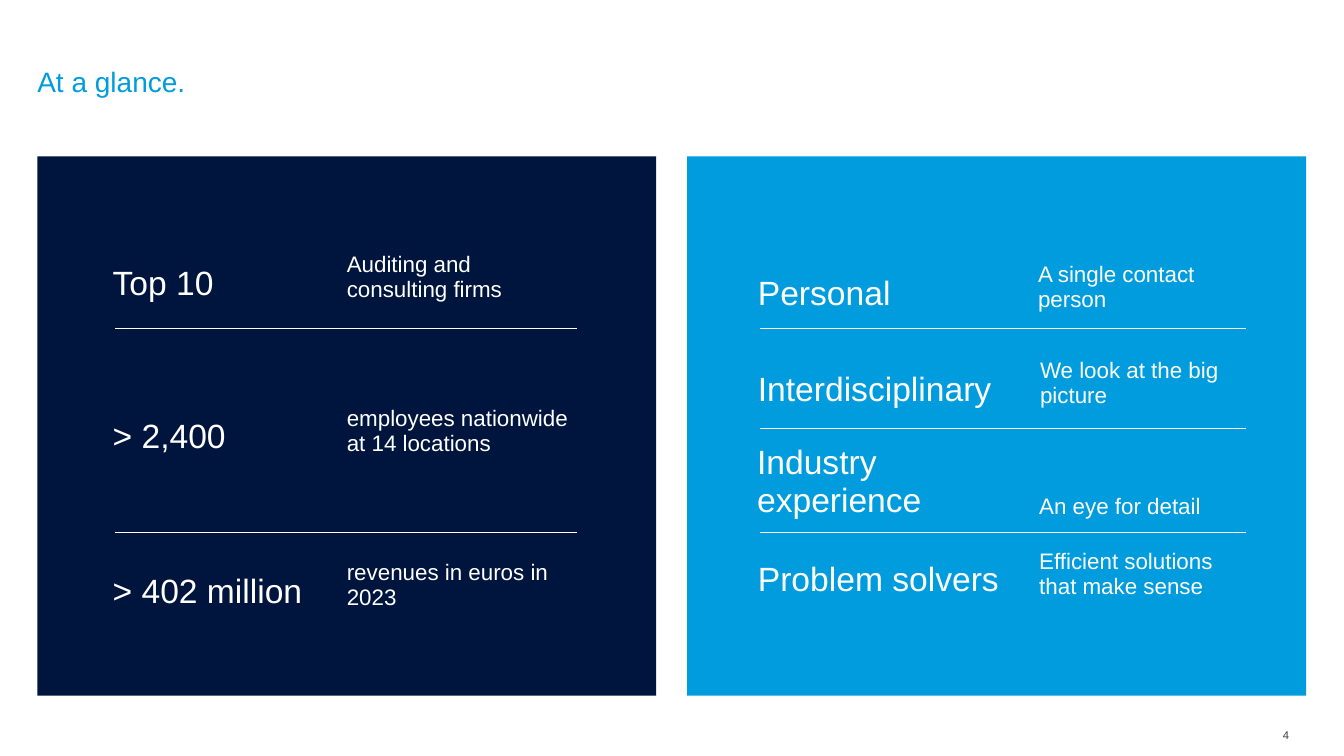
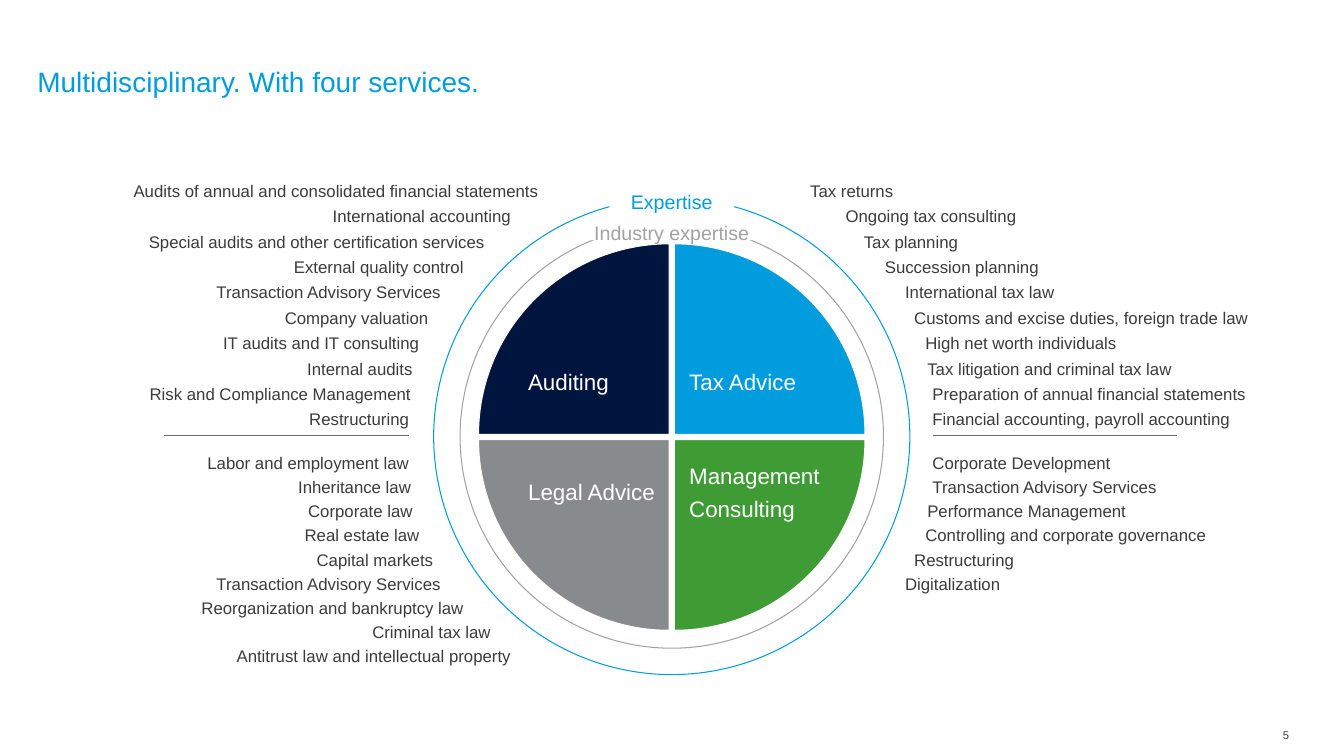
from lxml.etree import SubElement
from pptx import Presentation
from pptx.chart.data import CategoryChartData
from pptx.dml.color import RGBColor
from pptx.enum.chart import XL_CHART_TYPE
from pptx.enum.shapes import MSO_CONNECTOR, MSO_SHAPE
from pptx.enum.text import MSO_ANCHOR, PP_ALIGN
from pptx.oxml.ns import qn
from pptx.util import Cm, Pt

COLORS = {name: RGBColor.from_string(value) for name, value in {
    "navy": "00153D", "blue": "009CDE", "green": "3F9C35", "gray": "888B8D",
    "ring": "A2A2A2", "rule": "6B6B6B", "text": "3B3B3B", "white": "FFFFFF",
}.items()}
NO_GRID_STYLE = "{2D5ABB26-0587-4C30-8999-92F81FD0307C}"


def write_text(frame, text, size, color, spacing=1.2, align=PP_ALIGN.LEFT,
               anchor=MSO_ANCHOR.TOP, margins=(0, 0)):
    """Fill a text frame or table cell with one formatted paragraph."""
    horizontal, vertical = margins
    holder_format = {
        "margin_left": Cm(horizontal), "margin_right": Cm(horizontal),
        "margin_top": Cm(vertical), "margin_bottom": Cm(vertical),
        "vertical_anchor": anchor, "word_wrap": True, "text": text,
    }
    for name, value in holder_format.items():
        setattr(frame, name, value)
    paragraph = getattr(frame, "text_frame", frame).paragraphs[0]
    paragraph.line_spacing = spacing
    paragraph.alignment = align
    for name, value in {"name": "Arial", "size": Pt(size), "bold": False}.items():
        setattr(paragraph.font, name, value)
    paragraph.font.color.rgb = COLORS[color]


def add_rule(slide, left, right, top, color):
    """Draw a thin horizontal line without a shadow."""
    line = slide.shapes.add_connector(
        MSO_CONNECTOR.STRAIGHT, Cm(left), Cm(top), Cm(right), Cm(top))
    line.line.color.rgb = COLORS[color]
    line.line.width = Pt(0.75)
    SubElement(line._element.spPr, qn("a:effectLst"))


presentation = Presentation()
presentation.slide_width = Cm(33.87)
presentation.slide_height = Cm(19.05)

# Titles and page numbers
slides = []
for number, title in [(4, "At a glance."), (5, "Multidisciplinary. With four services.")]:
    slide = presentation.slides.add_slide(presentation.slide_layouts[5])
    title_format = {"left": Cm(0.94), "top": Cm(1.73), "width": Cm(32), "height": Cm(1.5)}
    for name, value in title_format.items():
        setattr(slide.shapes.title, name, value)
    write_text(slide.shapes.title.text_frame, title, 20, "blue", spacing=0.9)
    page_box = slide.shapes.add_textbox(Cm(32.33), Cm(18.34), Cm(0.91), Cm(0.3))
    write_text(page_box.text_frame, str(number), 8, "text", anchor=MSO_ANCHOR.MIDDLE)
    slides.append(slide)
glance, services = slides

# Glance: two panels, each with one-row tables and rules between them
# Rows: left, top, height, width of the first column, key, detail
panels = [
    {"color": "navy", "left": 0.94, "width": 12.4, "rule": (2.9, 14.55),
     "rule_tops": [8.28, 13.41], "rows": [
         (2.54, 6.07, 1.68, 5.9, "Top 10", "Auditing and\vconsulting firms"),
         (2.54, 9.93, 1.68, 5.9, "> 2,400", "employees nationwide at 14 locations"),
         (2.54, 13.82, 1.68, 5.9, "> 402 million", "revenues in euros in 2023")]},
    {"color": "blue", "left": 17.32, "width": 12.7, "rule": (19.15, 31.39),
     "rule_tops": [8.28, 10.8, 13.41], "rows": [
         (18.8, 6.32, 1.68, 7.06, "Personal", "A single contact person"),
         (18.8, 8.74, 1.68, 7.11, "Interdisciplinary", "We look at the big picture"),
         (18.78, 10.85, 2.35, 7.11, "Industry\vexperience", "An eye for detail"),
         (18.8, 13.54, 1.68, 7.09, "Problem solvers", "Efficient solutions that make sense")]},
]
for panel in panels:
    shape = glance.shapes.add_shape(
        MSO_SHAPE.RECTANGLE, Cm(panel["left"]), Cm(3.94), Cm(15.6), Cm(13.59))
    shape.shadow.inherit = False
    shape.fill.solid()
    shape.fill.fore_color.rgb = COLORS[panel["color"]]
    shape.line.fill.background()

    for left, top, height, key_width, key, detail in panel["rows"]:
        table = glance.shapes.add_table(
            1, 2, Cm(left), Cm(top), Cm(panel["width"]), Cm(height)).table
        table.first_row = table.horz_banding = False
        table._tbl.tblPr.find(qn("a:tableStyleId")).text = NO_GRID_STYLE
        table.columns[0].width = Cm(key_width)
        table.columns[1].width = Cm(panel["width"] - key_width)
        key_spacing = 1 if "\v" in key else 1.2
        for cell, text, size, spacing in zip(
                table.rows[0].cells, (key, detail), (24, 16), (key_spacing, 1)):
            cell.fill.background()
            write_text(cell, text, size, "white", spacing,
                       anchor=MSO_ANCHOR.BOTTOM, margins=(0.3, 0.2))

    for top in panel["rule_tops"]:
        add_rule(glance, *panel["rule"], top, "white")

# Services: pie of four equal quarters, clockwise from the top
chart_data = CategoryChartData()
chart_data.categories = ["1", "2", "3", "4"]
chart_data.add_series("Series 1", [25] * 4)
chart = services.shapes.add_chart(
    XL_CHART_TYPE.PIE, Cm(11.71), Cm(5.77), Cm(10.44), Cm(10.49), chart_data).chart
chart.has_title = chart.has_legend = False
chart.font.name = "Arial"
chart.font.size = Pt(10)
chart.font.color.rgb = COLORS["text"]
plot = chart.plots[0]
plot.vary_by_categories = False
series = plot.series[0]
for index, color in enumerate(["blue", "green", "gray", "navy"]):
    quarter = series.points[index].format
    quarter.fill.solid()
    quarter.fill.fore_color.rgb = COLORS[color]
    quarter.line.color.rgb = COLORS["white"]
    quarter.line.width = Pt(0.75)
for point in series._element.findall(qn("c:dPt")):
    explosion = SubElement(point, qn("c:explosion"), val="2")
    point.find(qn("c:spPr")).addprevious(explosion)

# Fixed plot area inside the chart frame
plot_area = chart._chartSpace.chart.plotArea
layout = plot_area.find(qn("c:layout"))
if layout is None:
    layout = SubElement(plot_area, qn("c:layout"))
    plot_area.insert(0, layout)
manual_layout = SubElement(layout, qn("c:manualLayout"))
for tag, value in {"layoutTarget": "inner", "xMode": "edge", "yMode": "edge",
                   "x": "0.04", "y": "0.04", "w": "0.92", "h": "0.92"}.items():
    SubElement(manual_layout, qn(f"c:{tag}"), val=value)

# Names of the quarters
for left, top, text in [
        (13.31, 8.43, "Auditing"), (13.31, 11.2, "Legal Advice"),
        (17.37, 8.43, "Tax Advice"), (17.37, 11.2, "Management\vConsulting")]:
    label = services.shapes.add_textbox(Cm(left), Cm(top), Cm(3.9), Cm(2.26))
    write_text(label.text_frame, text, 16, "white", anchor=MSO_ANCHOR.MIDDLE)

# Rings around the pie, then their labels on white
for diameter, color in [(12, "blue"), (10.67, "ring")]:
    ring = services.shapes.add_shape(
        MSO_SHAPE.OVAL, Cm(16.93 - diameter / 2), Cm(11 - diameter / 2),
        Cm(diameter), Cm(diameter))
    ring.shadow.inherit = False
    ring.fill.background()
    ring.line.color.rgb = COLORS[color]
    ring.line.width = Pt(0.75)
for top, width, text, color in [
        (4.67, 3.15, "Expertise", "blue"), (5.44, 4.2, "Industry expertise", "ring")]:
    label = services.shapes.add_shape(
        MSO_SHAPE.RECTANGLE, Cm(16.93 - width / 2), Cm(top), Cm(width), Cm(0.61))
    label.shadow.inherit = False
    label.fill.solid()
    label.fill.fore_color.rgb = COLORS["white"]
    label.line.fill.background()
    write_text(label.text_frame, text, 14, color, align=PP_ALIGN.CENTER)

# Service lists that follow the outer ring: first top, step, alignment,
# then the edge next to the ring for each line
service_lists = [
    (4.45, 0.64, PP_ALIGN.RIGHT, [
        (13.58, "Audits of annual and consolidated financial statements"),
        (12.88, "International accounting"),
        (12.22, "Special audits and other certification services"),
        (11.69, "External quality control"),
        (11.11, "Transaction Advisory Services"),
        (10.8, "Company valuation"),
        (10.57, "IT audits and IT consulting"),
        (10.4, "Internal audits"),
        (10.36, "Risk and Compliance Management"),
        (10.31, "Restructuring")]),
    (11.3, 0.61, PP_ALIGN.RIGHT, [
        (10.31, "Labor and employment law"),
        (10.36, "Inheritance law"),
        (10.4, "Corporate law"),
        (10.57, "Real estate law"),
        (10.92, "Capital markets"),
        (11.11, "Transaction Advisory Services"),
        (11.69, "Reorganization and bankruptcy law"),
        (12.37, "Criminal tax law"),
        (12.88, "Antitrust law and intellectual property")]),
    (4.45, 0.64, PP_ALIGN.LEFT, [
        (20.42, "Tax returns"),
        (21.31, "Ongoing tax consulting"),
        (21.77, "Tax planning"),
        (22.3, "Succession planning"),
        (22.81, "International tax law"),
        (23.04, "Customs and excise duties, foreign trade law"),
        (23.32, "High net worth individuals"),
        (23.37, "Tax litigation and criminal tax law"),
        (23.5, "Preparation of annual financial statements"),
        (23.5, "Financial accounting, payroll accounting")]),
    (11.3, 0.61, PP_ALIGN.LEFT, [
        (23.5, "Corporate Development"),
        (23.5, "Transaction Advisory Services"),
        (23.37, "Performance Management"),
        (23.32, "Controlling and corporate governance"),
        (23.04, "Restructuring"),
        (22.81, "Digitalization")]),
]
line_width = 10.3
for first_top, step, align, lines in service_lists:
    for index, (edge, text) in enumerate(lines):
        left = edge - line_width if align == PP_ALIGN.RIGHT else edge
        line_box = services.shapes.add_textbox(
            Cm(left), Cm(first_top + index * step), Cm(line_width), Cm(0.53))
        write_text(line_box.text_frame, text, 12, "text", align=align)

# Rules between the upper and lower lists
for left in (4.14, 23.5):
    add_rule(services, left, left + 6.17, 10.97, "rule")

presentation.save("out.pptx")
